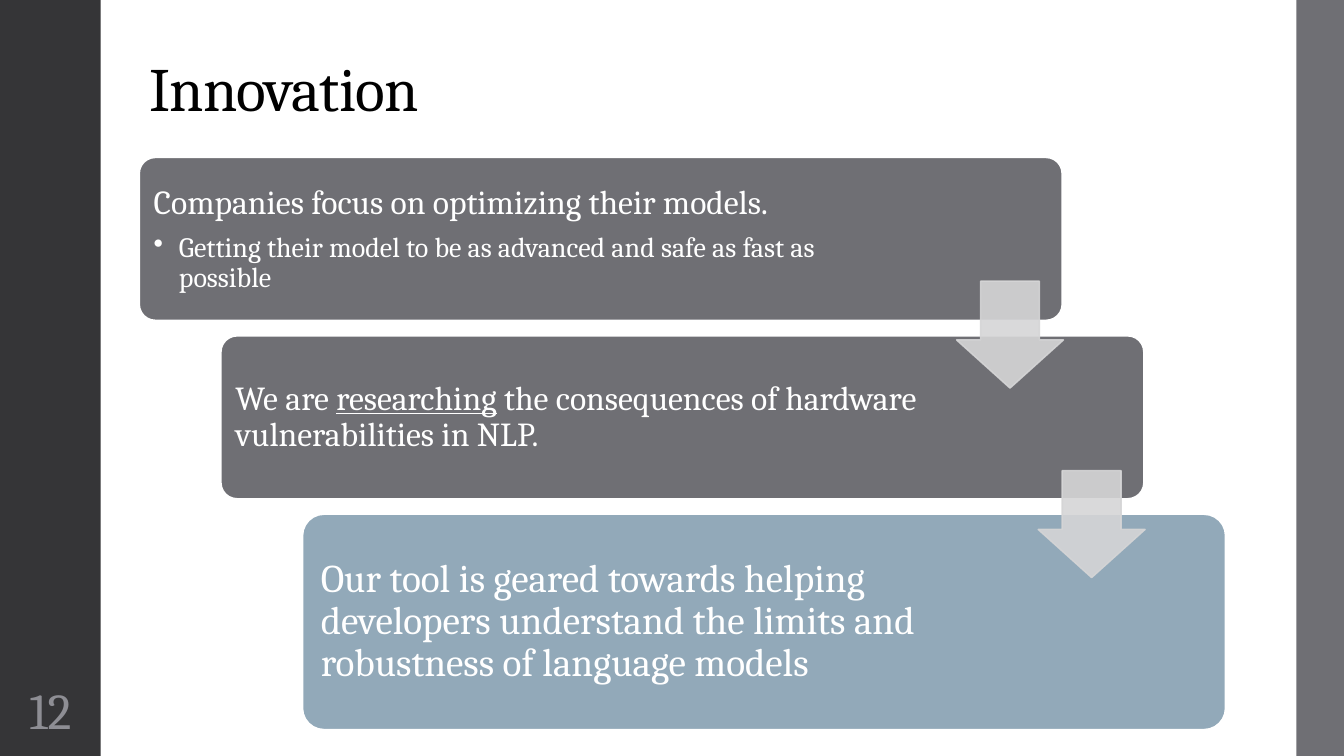
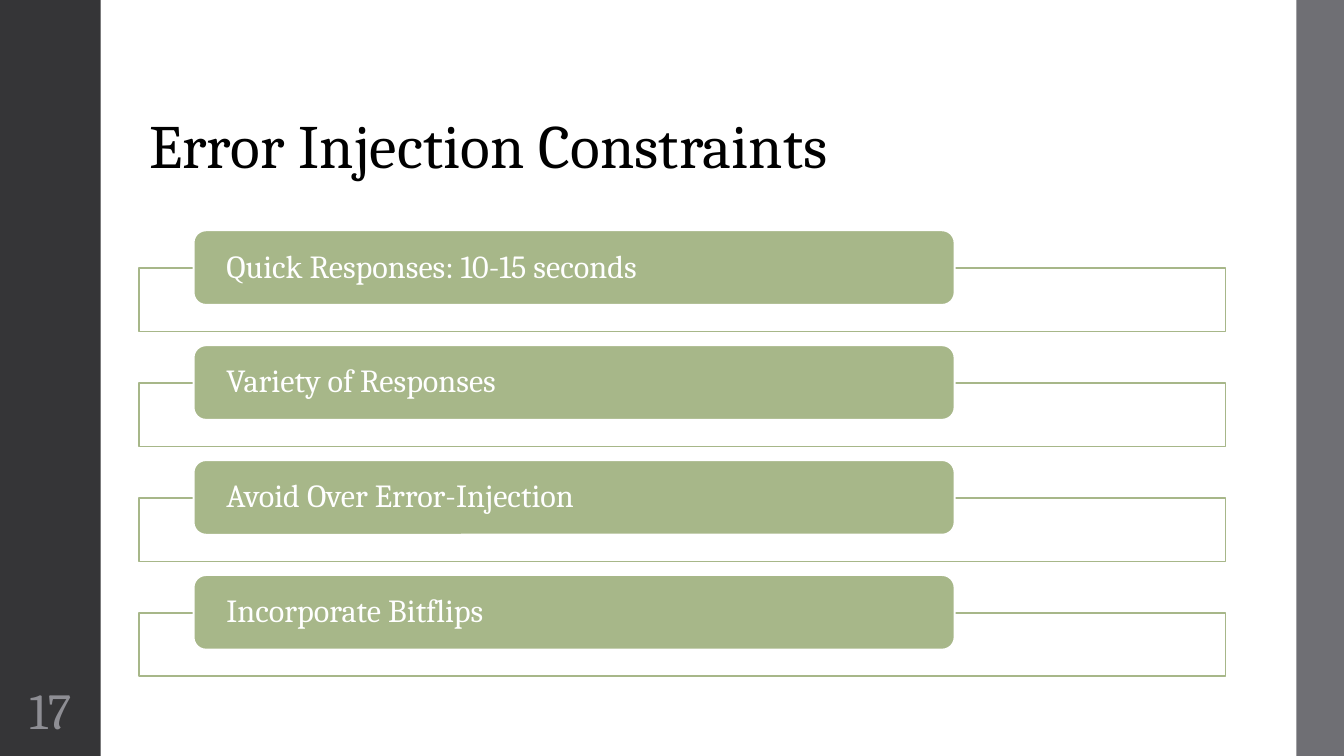
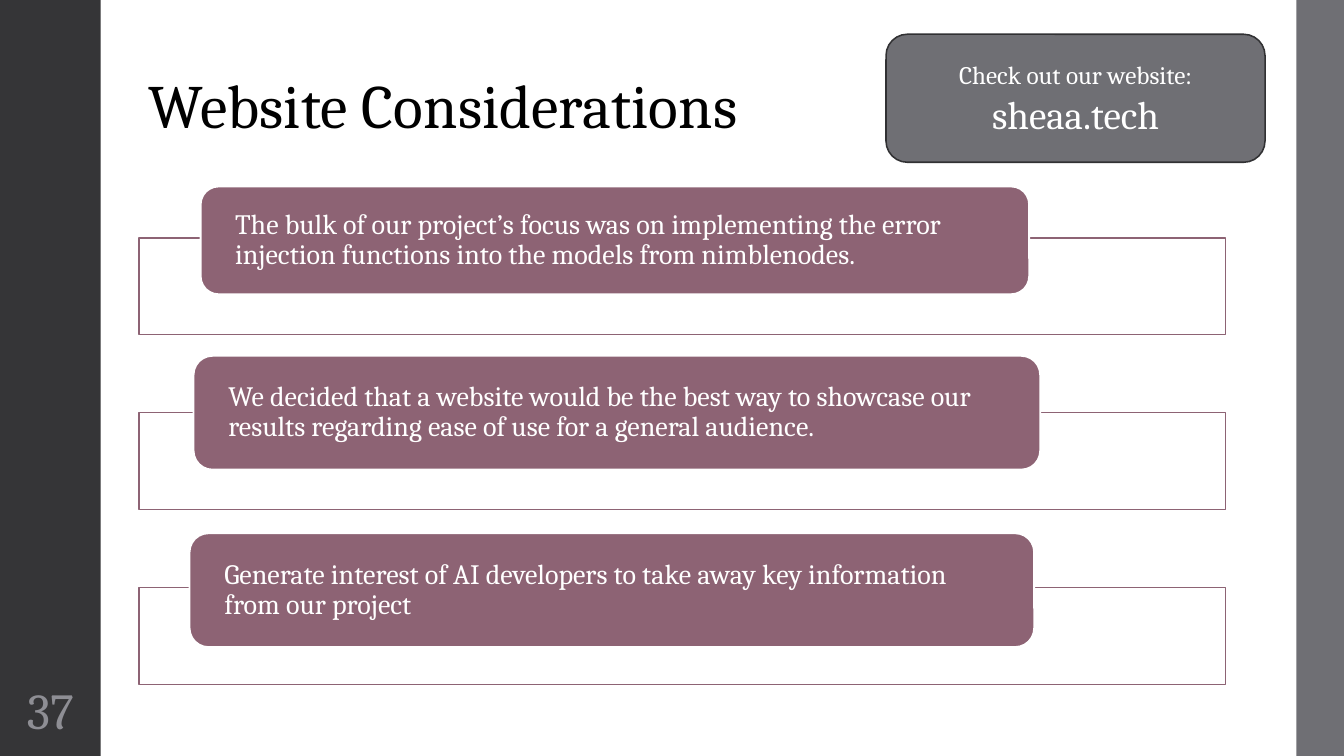
from pptx import Presentation
from pptx.dml.color import RGBColor
from pptx.enum.shapes import MSO_SHAPE
from pptx.enum.text import MSO_ANCHOR, PP_ALIGN
from pptx.oxml.ns import qn
from pptx.util import Inches, Pt
from lxml import etree

RECT = MSO_SHAPE.RECTANGLE
ROUNDED = MSO_SHAPE.ROUNDED_RECTANGLE
CALLOUT = MSO_SHAPE.FLOWCHART_ALTERNATE_PROCESS
DOWN_ARROW = MSO_SHAPE.DOWN_ARROW
MIDDLE, BOTTOM = MSO_ANCHOR.MIDDLE, MSO_ANCHOR.BOTTOM
LEFT, CENTER = PP_ALIGN.LEFT, PP_ALIGN.CENTER

WHITE = RGBColor(0xFF, 0xFF, 0xFF)
BLACK = RGBColor(0x00, 0x00, 0x00)
CHARCOAL = RGBColor(0x35, 0x35, 0x37)
OUTLINE = RGBColor(0x31, 0x31, 0x33)
GREY = RGBColor(0x6F, 0x6F, 0x74)
NUMBER_GREY = RGBColor(0x8E, 0x8E, 0x94)
ARROW_GREY = RGBColor(0xD5, 0xD5, 0xD6)
BLUE = RGBColor(0x92, 0xA9, 0xB9)
GREEN = RGBColor(0xA7, 0xB7, 0x89)
PLUM = RGBColor(0x8D, 0x63, 0x74)

FONT = "Cambria"
# Grid of square cells, ten to the inch
CELL = 0.1
COLS, ROWS = 133.33, 75
CONTENT_LEFT, CONTENT_WIDTH = 13.8, 107.8


def cells(count):
    return Inches(count * CELL)


class Deck:
    """Shared style and the slide being built; lengths are in grid cells."""

    def __init__(self):
        self.prs = Presentation()
        self.prs.slide_width, self.prs.slide_height = cells(COLS), cells(ROWS)
        self.slide = None

    def new_slide(self, title, number, top, height=14.5, width=CONTENT_WIDTH, spacing=0.1):
        self.slide = self.prs.slides.add_slide(self.prs.slide_layouts[6])
        self.shape(RECT, (0, 0, 10, ROWS), CHARCOAL)
        self.shape(RECT, (128.6, 0, COLS - 128.6, ROWS), GREY)
        heading = self.text_box((CONTENT_LEFT, top, width, height), (1, 0.5, 1, 0.5), BOTTOM)
        self.add_text(heading.paragraphs[0], [(title, 44)], BLACK)
        heading.paragraphs[0].runs[0].font._element.set("spc", str(round(spacing * 100)))
        page = self.text_box((0, 67.5, 10, 6.5), (0.5,) * 4, MIDDLE)
        self.add_text(page.paragraphs[0], [(str(number), 36)], NUMBER_GREY, CENTER, after=6)

    def shape(self, kind, box, fill, line=None, weight=1.35, adjust=()):
        shape = self.slide.shapes.add_shape(kind, *map(cells, box))
        shape.shadow.inherit = False
        shape.fill.solid()
        shape.fill.fore_color.rgb = fill
        if line is None:
            shape.line.fill.background()
        else:
            shape.line.color.rgb = line
            shape.line.width = Pt(weight)
        for index, value in enumerate(adjust):
            shape.adjustments[index] = value
        return shape

    def text_box(self, box, insets, anchor):
        return self.frame(self.slide.shapes.add_textbox(*map(cells, box)), insets, anchor)

    def frame(self, shape, insets, anchor=MIDDLE):
        frame = shape.text_frame
        frame.word_wrap = True
        frame.vertical_anchor = anchor
        (frame.margin_left, frame.margin_top,
         frame.margin_right, frame.margin_bottom) = map(cells, insets)
        return frame

    def add_text(self, paragraph, spans, color=WHITE, align=LEFT, after=0, spacing=0.9):
        """Each span is (text, size) or (text, size, underlined)."""
        paragraph.alignment = align
        paragraph.line_spacing = spacing
        paragraph.space_after = Pt(after)
        for text, size, *underlined in spans:
            run = paragraph.add_run()
            run.text = text
            run.font.name, run.font.size = FONT, Pt(size)
            run.font.color.rgb = color
            if underlined:
                run.font.underline = True

    def bullet(self, frame, text, size):
        paragraph = frame.add_paragraph()
        props = paragraph._p.get_or_add_pPr()
        props.set("marL", str(cells(2.5)))
        props.set("indent", str(-cells(2.5)))
        etree.SubElement(props, qn("a:buChar")).set("char", "•")
        self.add_text(paragraph, [(text, size)], after=3)

    def step_card(self, box, fill, spans, pad, right_pad):
        card = self.shape(ROUNDED, box, fill, WHITE, adjust=(0.1,))
        frame = self.frame(card, (pad, pad, right_pad, pad))
        self.add_text(frame.paragraphs[0], spans)
        return frame

    def step_arrow(self, left, top):
        arrow = self.shape(DOWN_ARROW, (left, top, 10.6, 10.6), ARROW_GREY,
                           ARROW_GREY, 1.1, (0.55, 0.45))
        for color in arrow._element.spPr.iter(qn("a:srgbClr")):
            etree.SubElement(color, qn("a:alpha")).set("val", "90000")

    def labelled_frame(self, top, height, label_box, color, text, size):
        self.shape(RECT, (CONTENT_LEFT, top, CONTENT_WIDTH, height), WHITE, color, 1.1)
        label = self.shape(ROUNDED, label_box, color, WHITE)
        frame = self.frame(label, (2.9, 0, 2.9, 0))
        self.add_text(frame.paragraphs[0], [(text, size)])


def innovation(deck):
    deck.new_slide("Innovation", 12, top=-1.6, spacing=-0.5)
    # Staircase of cards
    steps = [
        (16.2, GREY, [("Companies focus on optimizing their models", 24), (".", 25)], 1, 17.5),
        (16.2, GREY, [("We are ", 24), ("researching", 24, True),
                      (" the consequences of hardware vulnerabilities in NLP.", 24)], 1, 19.6),
        (21.4, BLUE, [("Our tool is geared towards helping developers understand "
                       "the limits and robustness of language models", 28)], 1.2, 19.9),
    ]
    width, shift, gap = 91.6, 8.1, 1.5
    top, frames = 15.6, []
    for index, (height, fill, spans, pad, right_pad) in enumerate(steps):
        box = (CONTENT_LEFT + index * shift, top, width, height)
        frames.append(deck.step_card(box, fill, spans, pad, right_pad))
        top += height + gap
    frames[0].paragraphs[0].space_after = Pt(8.4)
    deck.bullet(frames[0], "Getting their model to be as advanced and safe "
                           "as fast as possible", 20)
    # Arrows from step to step
    for index, arrow_top in enumerate((27.9, 46.7)):
        deck.step_arrow(CONTENT_LEFT + width - 10.5 + index * shift, arrow_top)


def constraints(deck):
    deck.new_slide("Error Injection Constraints", 17, top=4)
    rules = ["Quick Responses: 10-15 seconds", "Variety of Responses",
             "Avoid Over Error-Injection", "Incorporate Bitflips"]
    for index, rule in enumerate(rules):
        top = 26.6 + index * 11.4
        deck.labelled_frame(top, 6.3, (19.2, top - 3.75, 75.5, 7.4), GREEN, rule, 23)


def website(deck):
    deck.new_slide("Website Considerations", 37, top=3.1, height=11.5, width=70.3)
    considerations = [
        ((19.9, 18.5, 82.2, 10.7),
         "The bulk of our project’s focus was on implementing the error "
         "injection functions into the models from nimblenodes."),
        ((19.2, 35.3, 84, 11.3),
         "We decided that a website would be the best way to showcase our "
         "results regarding ease of use for a general audience."),
        ((18.8, 52.9, 83.8, 11.3),
         "Generate interest of AI developers to take away key information "
         "from our project"),
    ]
    for index, (label_box, text) in enumerate(considerations):
        deck.labelled_frame(23.6 + index * 17.35, 9.6, label_box, PLUM, text, 20)
    # Invitation to the site
    invitation = deck.shape(CALLOUT, (87.9, 3.4, 37.6, 12.7), GREY, OUTLINE, 1.1)
    frame = deck.frame(invitation, (1, 0.5, 1, 0.5))
    deck.add_text(frame.paragraphs[0], [("Check out our website: ", 18), ("sheaa.tech", 28)],
                  align=CENTER, spacing=1.0)


def main():
    deck = Deck()
    for build in (innovation, constraints, website):
        build(deck)
    deck.prs.save("out.pptx")


if __name__ == "__main__":
    main()
